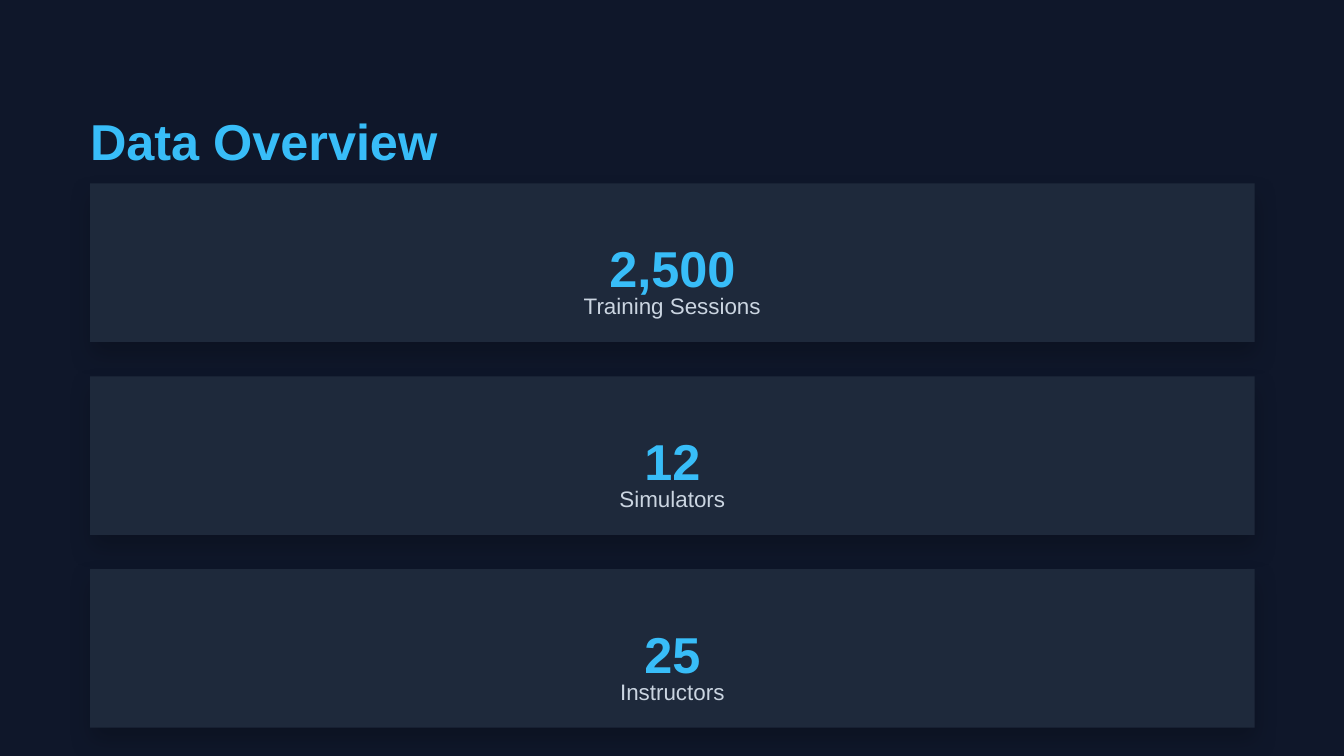
from lxml.etree import SubElement
from pptx import Presentation
from pptx.dml.color import RGBColor
from pptx.enum.shapes import MSO_SHAPE
from pptx.enum.text import PP_ALIGN
from pptx.oxml.ns import qn
from pptx.util import Emu, Pt

PX_PER_INCH = 200
BACKGROUND = "0F172A"
CARD = "1E293B"
ACCENT = "38BDF8"
MUTED = "CBD5E1"

STATS = [
    ("2,500", "Training Sessions"),
    ("12", "Simulators"),
    ("25", "Instructors"),
]
CARD_LEFT, CARD_TOP = 134, 273
CARD_WIDTH, CARD_HEIGHT = 1733, 236
CARD_PITCH = 287


def px(value):
    return Emu(value * 914400 // PX_PER_INCH)


def color(value):
    return RGBColor.from_string(value)


def add_shadow(sp):
    sp.shadow.inherit = False
    effects = sp._element.spPr.find(qn("a:effectLst"))
    shadow = SubElement(
        effects, qn("a:outerShdw"), blurRad=str(Pt(12)), dist=str(Pt(6)),
        dir=str(90 * 60000), algn="ctr", rotWithShape="0",
    )
    black = SubElement(shadow, qn("a:srgbClr"), val="000000")
    SubElement(black, qn("a:alpha"), val="20000")


def add_card(s, top):
    sp = s.shapes.add_shape(
        MSO_SHAPE.RECTANGLE, px(CARD_LEFT), px(top), px(CARD_WIDTH), px(CARD_HEIGHT)
    )
    sp.fill.solid()
    sp.fill.fore_color.rgb = color(CARD)
    sp.line.fill.background()
    add_shadow(sp)


def add_text(s, text, left, top, width, height, size, spacing, fill,
             bold=False, align=PP_ALIGN.LEFT):
    sp = s.shapes.add_textbox(px(left), px(top), px(width), px(height))
    tf = sp.text_frame
    tf.word_wrap = True
    tf.margin_left = tf.margin_right = tf.margin_top = tf.margin_bottom = 0
    p = tf.paragraphs[0]
    p.alignment = align
    p.line_spacing = Pt(spacing)
    r = p.add_run()
    r.text = text
    r.font.name = "Arial"
    r.font.size = Pt(size)
    r.font.bold = bold
    r.font.color.rgb = color(fill)


def add_stat(s, top, value, label):
    add_text(s, value, 167, top + 50, 1667, 90, 27, 43.2, ACCENT, True, PP_ALIGN.CENTER)
    add_text(s, label, 167, top + 140, 1667, 46, 12, 22.4, MUTED, align=PP_ALIGN.CENTER)


def main():
    prs = Presentation()
    prs.slide_width, prs.slide_height = px(2000), px(1125)
    s = prs.slides.add_slide(prs.slide_layouts[6])
    s.background.fill.solid()
    s.background.fill.fore_color.rgb = color(BACKGROUND)

    tops = [CARD_TOP + i * CARD_PITCH for i in range(len(STATS))]
    for top in tops:
        add_card(s, top)
    add_text(s, "Data Overview", CARD_LEFT, 134, 1768, 90, 27, 43.2, ACCENT, True)
    for top, (value, label) in zip(tops, STATS):
        add_stat(s, top, value, label)

    prs.save("out.pptx")


if __name__ == "__main__":
    main()
